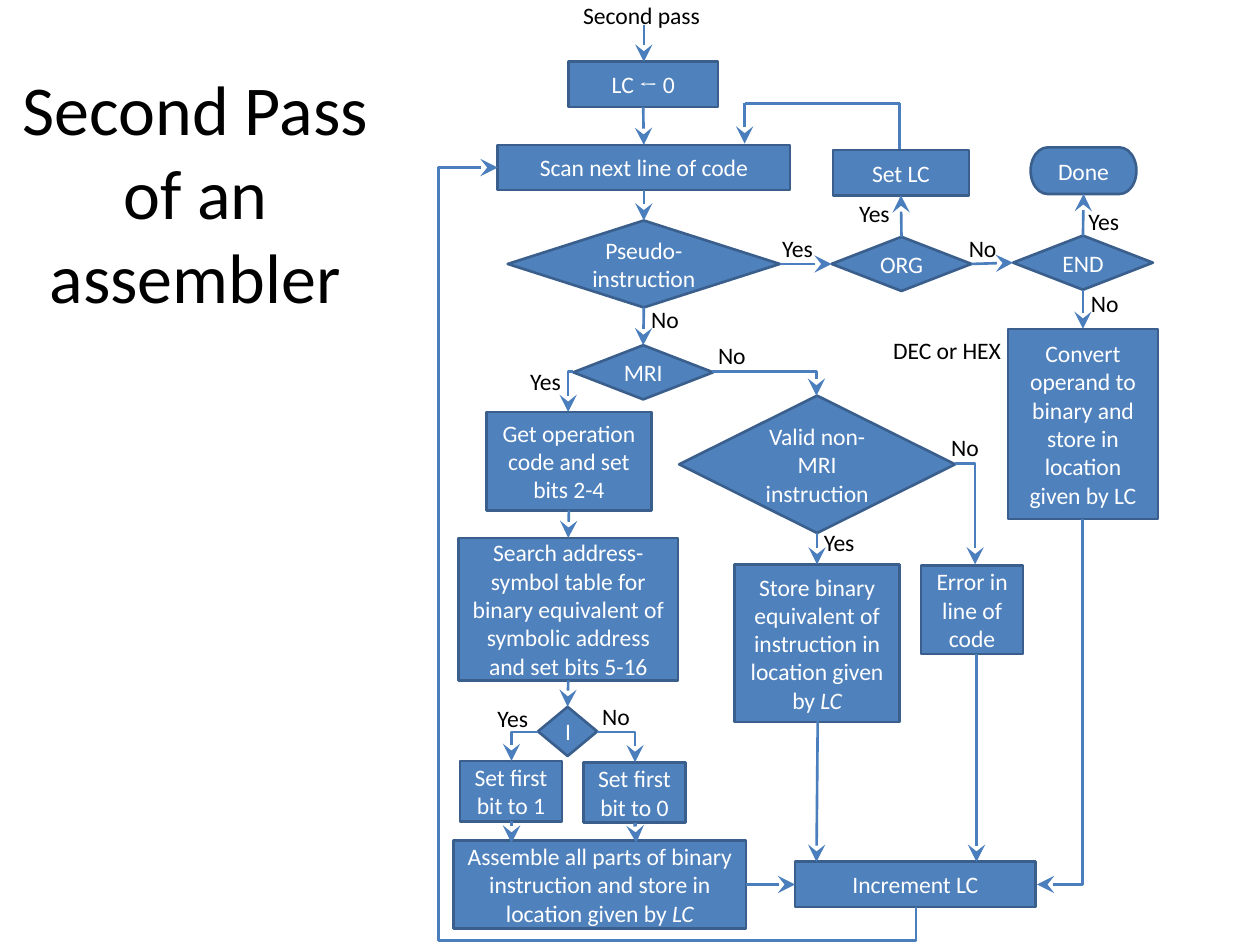
from lxml import etree
from pptx import Presentation
from pptx.dml.color import RGBColor
from pptx.enum import shapes, text
from pptx.oxml import ns
from pptx.util import Inches, Pt

"""Flowchart of the second pass of an assembler."""

THEME = {
    "fill": "4F81BD", "edge": "3A5F8C", "line": "4B7EBC",
    "light": "FFFFFF", "dark": "000000",
    "font": "Calibri", "math": "Cambria",
    "size": 13.5, "title": 40, "width": 1.5, "thick": 2,
}
KINDS = {
    "box": shapes.MSO_SHAPE.RECTANGLE,
    "test": shapes.MSO_SHAPE.FLOWCHART_DECISION,
    "end": shapes.MSO_SHAPE.FLOWCHART_TERMINATOR,
}
TOP, LEFT, BOTTOM, RIGHT = range(4)

NODES = [
    ("start", "box", (4.51, 0.49, 1.19, 0.36), [("LC ", ""), ("←", "math"), (" 0", "")]),
    ("scan", "box", (3.95, 1.15, 2.32, 0.36), [("Scan next line of code", "")]),
    ("pseudo", "test", (4.03, 1.75, 2.16, 0.69), [("Pseudo-instruction", "")]),
    ("store", "box", (5.83, 4.48, 1.31, 1.25),
     [("Store binary equivalent of instruction in location given by ", ""), ("LC", "italic")]),
    ("next", "box", (6.31, 6.84, 1.91, 0.36), [("Increment LC", "")]),
    ("set", "box", (6.61, 1.19, 1.08, 0.36), [("Set LC", "")]),
    ("org", "test", (6.6, 1.88, 1.11, 0.43), [("ORG", "")]),
    ("end", "test", (8.04, 1.87, 1.11, 0.43), [("END", "")]),
    ("done", "end", (8.18, 1.17, 0.84, 0.37), [("Done", "")]),
    ("convert", "box", (8, 2.61, 1.19, 1.51),
     [("Convert operand to binary and store in location given by LC", "")]),
    ("mri", "test", (4.55, 2.74, 1.11, 0.43), [("MRI", "")]),
    ("valid", "test", (5.39, 3.14, 2.19, 1.09), [("Valid non-MRI instruction", "")]),
    ("get", "box", (3.86, 3.27, 1.31, 0.78), [("Get operation code and set bits 2-4", "")]),
    ("search", "box", (3.64, 4.27, 1.74, 1.13),
     [("Search address-symbol table for binary equivalent of symbolic address and set bits 5-16", "")]),
    ("bit", "test", (4.27, 5.61, 0.47, 0.39), [("I", "")]),
    ("one", "box", (3.65, 6.04, 0.81, 0.48), [("Set first bit to 1", "")]),
    ("zero", "box", (4.63, 6.05, 0.81, 0.48), [("Set first bit to 0", "")]),
    ("join", "box", (3.6, 6.67, 2.32, 0.7),
     [("Assemble all parts of binary instruction and store in location given by", ""),
      (" LC", "italic")]),
    ("error", "box", (7.31, 4.49, 0.81, 0.7), [("Error in line of code", "")]),
]
LINKS = [
    ("start", BOTTOM, "scan", TOP), ("scan", BOTTOM, "pseudo", TOP),
    ("pseudo", RIGHT, "org", LEFT), ("pseudo", BOTTOM, "mri", TOP),
    ("org", TOP, "set", BOTTOM), ("org", RIGHT, "end", LEFT),
    ("end", TOP, "done", BOTTOM), ("end", BOTTOM, "convert", TOP),
    ("valid", BOTTOM, "store", TOP), ("get", BOTTOM, "search", TOP),
    ("search", BOTTOM, "bit", TOP), ("join", RIGHT, "next", LEFT),
]
LINES = [
    ((5.11, 0.2), (5.11, 0.49), "width", True),
    ((7.14, 1.18), (7.14, 0.82), "width", False),
    ((7.14, 0.82), (5.91, 0.82), "width", False),
    ((5.91, 0.82), (5.91, 1.14), "width", True),
    ((4.06, 6.52), (4.06, 6.69), "thick", True),
    ((5.04, 6.53), (5.05, 6.69), "thick", True),
    ((6.49, 5.72), (6.48, 6.84), "width", True),
    ((7.75, 5.19), (7.75, 6.84), "width", True),
]
BENDS = [
    ((5.65, 2.95), (6.48, 3.14), False, ()),
    ((4.55, 2.95), (4.51, 3.27), False, ()),
    ((4.27, 5.81), (4.06, 6.04), False, ()),
    ((4.74, 5.81), (5.04, 6.05), False, ()),
    ((7.58, 3.68), (7.74, 4.48), False, ()),
    ((8.59, 4.12), (8.23, 7.02), True, ()),
    ((7.27, 7.2), (3.95, 1.33), True, (-4500, 114200)),
]
LABELS = [
    ("Second pass", 4.53, -0.04, 1.15), ("DEC or HEX", 6.99, 2.62, 1.07),
    ("Yes", 6.11, 1.81, 0.46), ("Yes", 6.72, 1.53, 0.46), ("Yes", 8.54, 1.59, 0.46),
    ("Yes", 3.85, 5.54, 0.46), ("Yes", 6.44, 4.14, 0.46), ("Yes", 4.11, 2.86, 0.46),
    ("No", 7.59, 1.81, 0.42), ("No", 8.56, 2.24, 0.42), ("No", 5.07, 2.37, 0.42),
    ("No", 5.6, 2.66, 0.42), ("No", 4.68, 5.52, 0.42), ("No", 7.45, 3.39, 0.42),
]
TITLE = ["Second Pass", "of an assembler"]


def tint(name):
    return RGBColor.from_string(THEME[name])


def write(para, words, color, size="size", style=""):
    run = para.add_run()
    run.text = words
    font = run.font
    font.name = THEME["math" if style == "math" else "font"]
    font.size = Pt(THEME[size])
    font.color.rgb = tint(color)
    if style == "italic":
        font.italic = True


def node(slide, kind, box, runs):
    shape = slide.shapes.add_shape(KINDS[kind], *map(Inches, box))
    shape.shadow.inherit = False
    shape.fill.solid()
    shape.fill.fore_color.rgb = tint("fill")
    shape.line.color.rgb = tint("edge")
    shape.line.width = Pt(THEME["width"])
    frame = shape.text_frame
    frame.word_wrap = True
    frame.vertical_anchor = text.MSO_ANCHOR.MIDDLE
    para = frame.paragraphs[0]
    para.alignment = text.PP_ALIGN.CENTER
    for words, style in runs:
        write(para, words, "light", style=style)
    return shape


def label(slide, box, wrap):
    frame = slide.shapes.add_textbox(*map(Inches, box)).text_frame
    frame.word_wrap = wrap
    frame.auto_size = text.MSO_AUTO_SIZE.SHAPE_TO_FIT_TEXT
    return frame


def wire(slide, start, stop, width="width", head=True, kind="STRAIGHT"):
    line = slide.shapes.add_connector(
        shapes.MSO_CONNECTOR[kind], *map(Inches, (*start, *stop)))
    line.line.color.rgb = tint("line")
    line.line.width = Pt(THEME[width])
    props = line._element.spPr
    if head:
        etree.SubElement(props.find(ns.qn("a:ln")), ns.qn("a:tailEnd"),
                         type="stealth", w="lg", len="lg")
    etree.SubElement(props, ns.qn("a:effectLst"))
    return line


def bend(slide, start, stop, turn, adjust):
    if turn:
        (x, y), (right, low) = start, stop
        mid, level = (x + right) / 2, (y + low) / 2
        half, rise = (low - y) / 2, (right - x) / 2
        start, stop = (mid - half, level + rise), (mid + half, level - rise)
    props = wire(slide, start, stop, kind="ELBOW")._element.spPr
    if turn:
        props.find(ns.qn("a:xfrm")).set("rot", "5400000")
    shape = props.find(ns.qn("a:prstGeom"))
    shape.set("prst", "bentConnector4" if adjust else "bentConnector2")
    guides = shape.find(ns.qn("a:avLst"))
    for rank, value in enumerate(adjust, 1):
        etree.SubElement(guides, ns.qn("a:gd"), name=f"adj{rank}", fmla=f"val {value}")


def main():
    deck = Presentation()
    deck.slide_width, deck.slide_height = Inches(10), Inches(7.5)
    slide = deck.slides.add_slide(deck.slide_layouts[6])
    made = {name: node(slide, *rest) for name, *rest in NODES}
    for first, out, last, into in LINKS:
        line = wire(slide, (0, 0), (1, 1))
        line.begin_connect(made[first], out)
        line.end_connect(made[last], into)
    for item in LINES:
        wire(slide, *item)
    for item in BENDS:
        bend(slide, *item)
    for words, x, y, wide in LABELS:
        write(label(slide, (x, y, wide, 0.33), False).paragraphs[0], words, "dark")
    frame = label(slide, (-0.02, 0.47, 3.14, 2.12), True)
    for rank, words in enumerate(TITLE):
        para = frame.add_paragraph() if rank else frame.paragraphs[0]
        para.alignment = text.PP_ALIGN.CENTER
        write(para, words, "dark", "title")
    deck.save("out.pptx")


if __name__ == "__main__":
    main()
